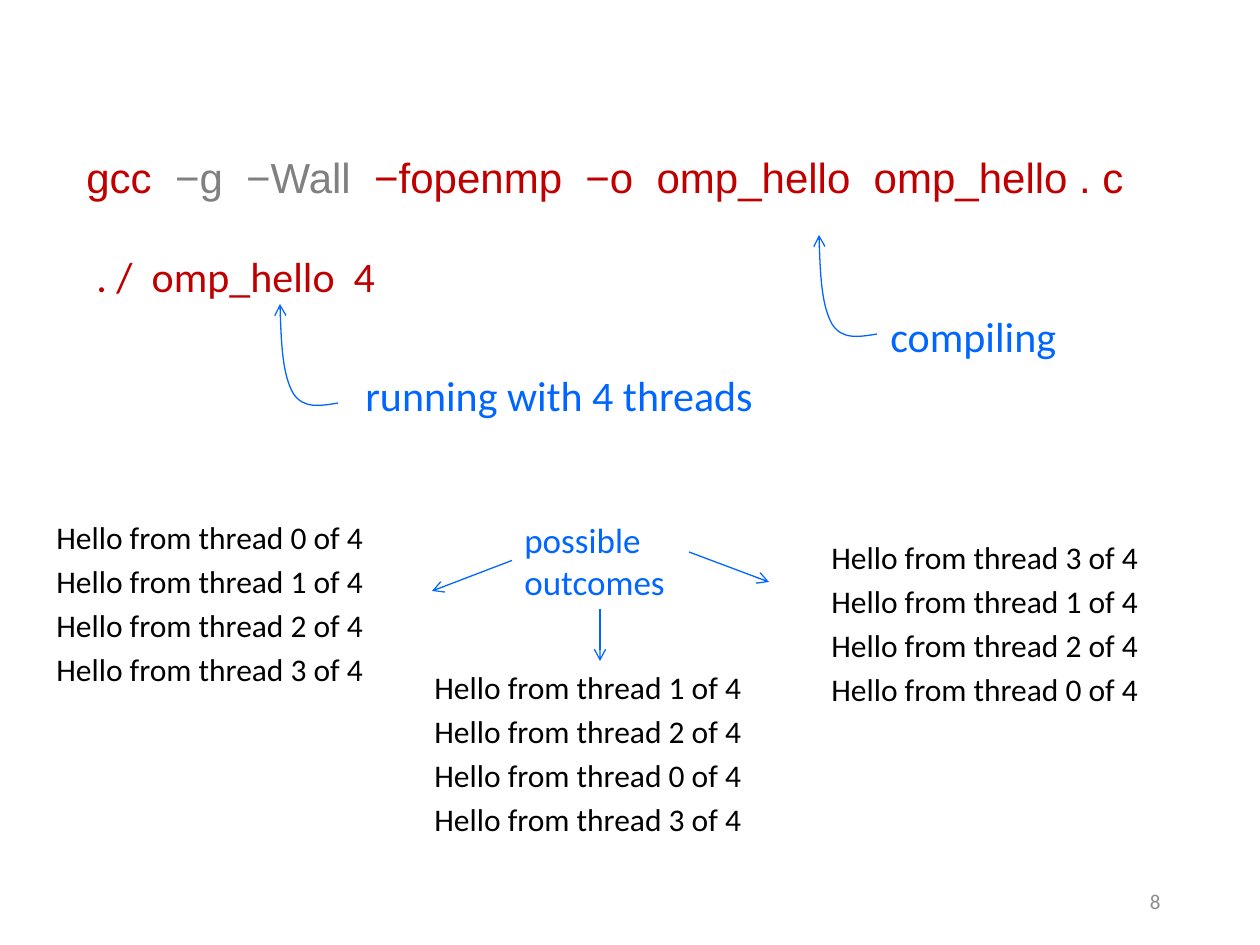
import pptx
import pptx.util
import pptx.dml.color
import pptx.enum.shapes
import pptx.enum.text
import pptx.oxml.ns
from lxml import etree

SCALE = 914400 / 126
RED, GREY, BLUE, BLACK, PALE = "C00000", "808080", "0066FF", "000000", "8C8C8C"
BEND = [(-18, 3), (-35, 6), (-45, -10), (-55, -28), (-57, -63), (-58, -99)]
QN = pptx.oxml.ns.qn


def px(n):
    return pptx.util.Emu(round(n * SCALE))


def hue(code):
    return pptx.dml.color.RGBColor.from_string(code)


def style(run, size, code, face):
    form = {"size": pptx.util.Pt(size), "name": face}
    for key, value in form.items():
        setattr(run.font, key, value)
    run.font.color.rgb = hue(code)


def label(slide, spot, lines, size, code, wrap=False):
    box = slide.shapes.add_textbox(*map(px, spot))
    frame = box.text_frame
    form = {"word_wrap": wrap,
            "auto_size": pptx.enum.text.MSO_AUTO_SIZE.SHAPE_TO_FIT_TEXT}
    for key, value in form.items():
        setattr(frame, key, value)
    for i, line in enumerate(lines):
        para = frame.add_paragraph() if i else frame.paragraphs[0]
        if i:
            para.space_before = pptx.util.Pt(size * 0.2)
        para.text = line
        for run in para.runs:
            style(run, size, code, "Calibri")
    return box


def command(slide, spot, parts):
    box = label(slide, spot, [], 24, RED, True)
    for text, code in parts:
        run = box.text_frame.paragraphs[0].add_run()
        run.text = text
        style(run, 24, code, "Arial")


def output(slide, spot, order):
    lines = [f"Hello from thread {n} of 4" for n in order]
    label(slide, spot, lines, 18, BLACK, True)


def tip(shape):
    shape.line.color.rgb = hue(BLUE)
    shape.line.width = pptx.util.Pt(0.75)
    etree.SubElement(shape.line._get_or_add_ln(), QN("a:tailEnd"), type="arrow")


def arrow(slide, start, end, box=None, side=0):
    kind = pptx.enum.shapes.MSO_CONNECTOR.STRAIGHT
    line = slide.shapes.add_connector(kind, *map(px, start + end))
    if box is not None:
        line.begin_connect(box, side)
    tip(line)
    etree.SubElement(line._element.spPr, QN("a:effectLst"))


def curve(slide, x, y):
    pen = slide.shapes.build_freeform(x, y, scale=SCALE)
    pen.add_line_segments([(x + dx, y + dy) for dx, dy in BEND], close=False)
    shape = pen.convert_to_shape()
    shape.shadow.inherit = False
    shape.fill.background()
    tip(shape)
    steps = list(shape._element.iter(QN("a:lnTo")))
    trace = steps[0].getparent()
    for i in range(0, len(steps), 3):
        bow = etree.SubElement(trace, QN("a:cubicBezTo"))
        for step in steps[i:i + 3]:
            bow.append(step[0])
            trace.remove(step)


def main():
    deck = pptx.Presentation()
    deck.slide_width, deck.slide_height = px(1260), px(945)
    slide = deck.slides.add_slide(deck.slide_layouts[6])

    command(slide, (74, 145, 1072, 63), [
        ("gcc  ", RED), ("−g  −Wall  ", GREY),
        ("−fopenmp  −o  omp_hello  omp_hello . c", RED)])
    label(slide, (84, 244, 306, 63), [". /  omp_hello  4"], 24, RED)
    label(slide, (878, 304, 205, 64), ["compiling"], 24, BLUE)
    label(slide, (353, 363, 444, 64), ["running with 4 threads"], 24, BLUE)
    curve(slide, 338, 403)
    curve(slide, 877, 334)

    output(slide, (44, 512, 427, 188), (0, 1, 2, 3))
    output(slide, (819, 532, 364, 188), (3, 1, 2, 0))
    output(slide, (422, 662, 394, 188), (1, 2, 0, 3))
    hub = label(slide, (512, 512, 176, 97), ["possible\voutcomes"], 20, BLUE)
    arrow(slide, (512, 561), (432, 591), hub, 1)
    arrow(slide, (600, 609), (600, 661), hub, 2)
    arrow(slide, (689, 552), (769, 582))

    page = label(slide, (890, 876, 283, 50), ["8"], 12, PALE, True).text_frame
    page.auto_size = pptx.enum.text.MSO_AUTO_SIZE.NONE
    page.vertical_anchor = pptx.enum.text.MSO_ANCHOR.MIDDLE
    page.paragraphs[0].alignment = pptx.enum.text.PP_ALIGN.RIGHT
    deck.save("out.pptx")


if __name__ == "__main__":
    main()
